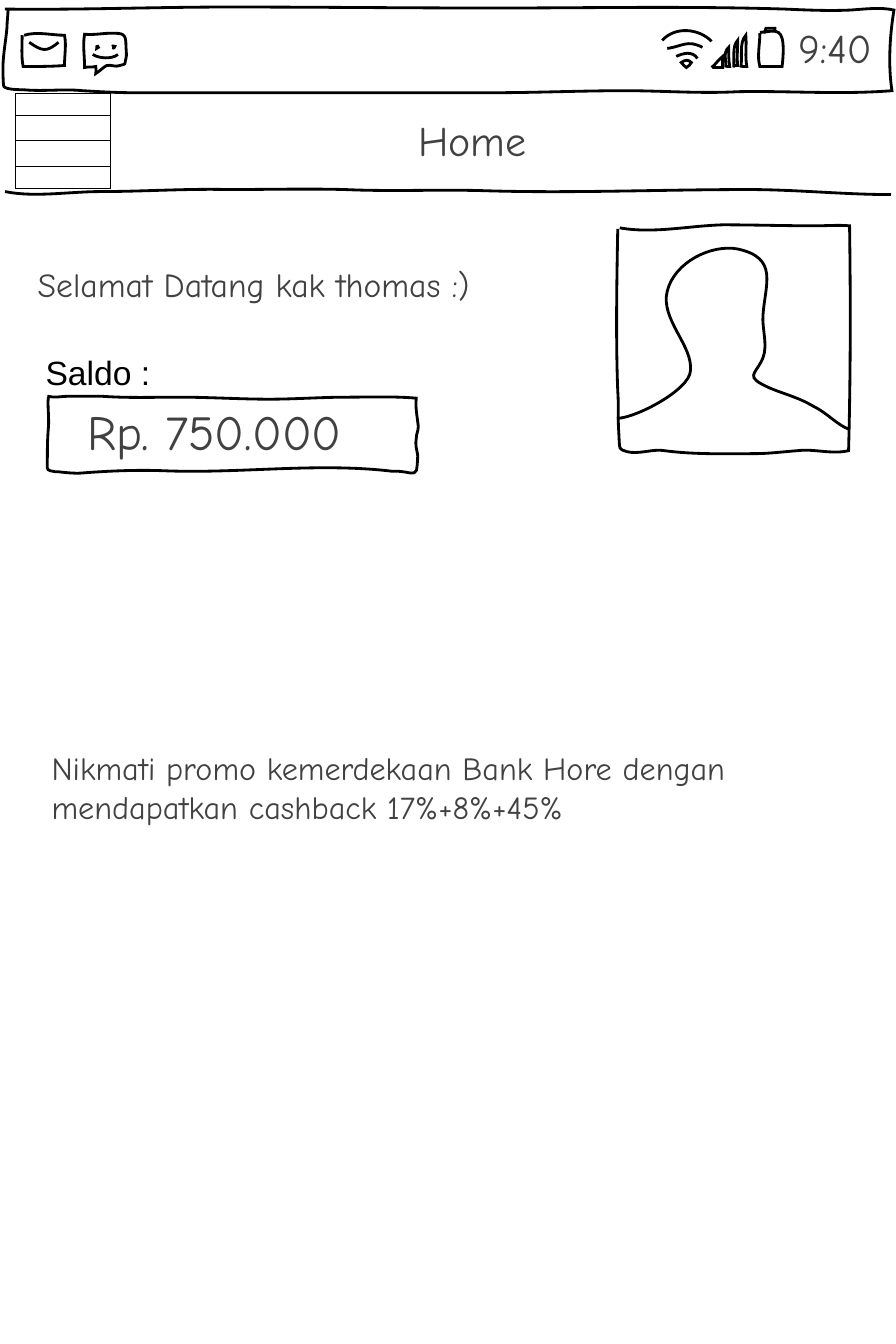
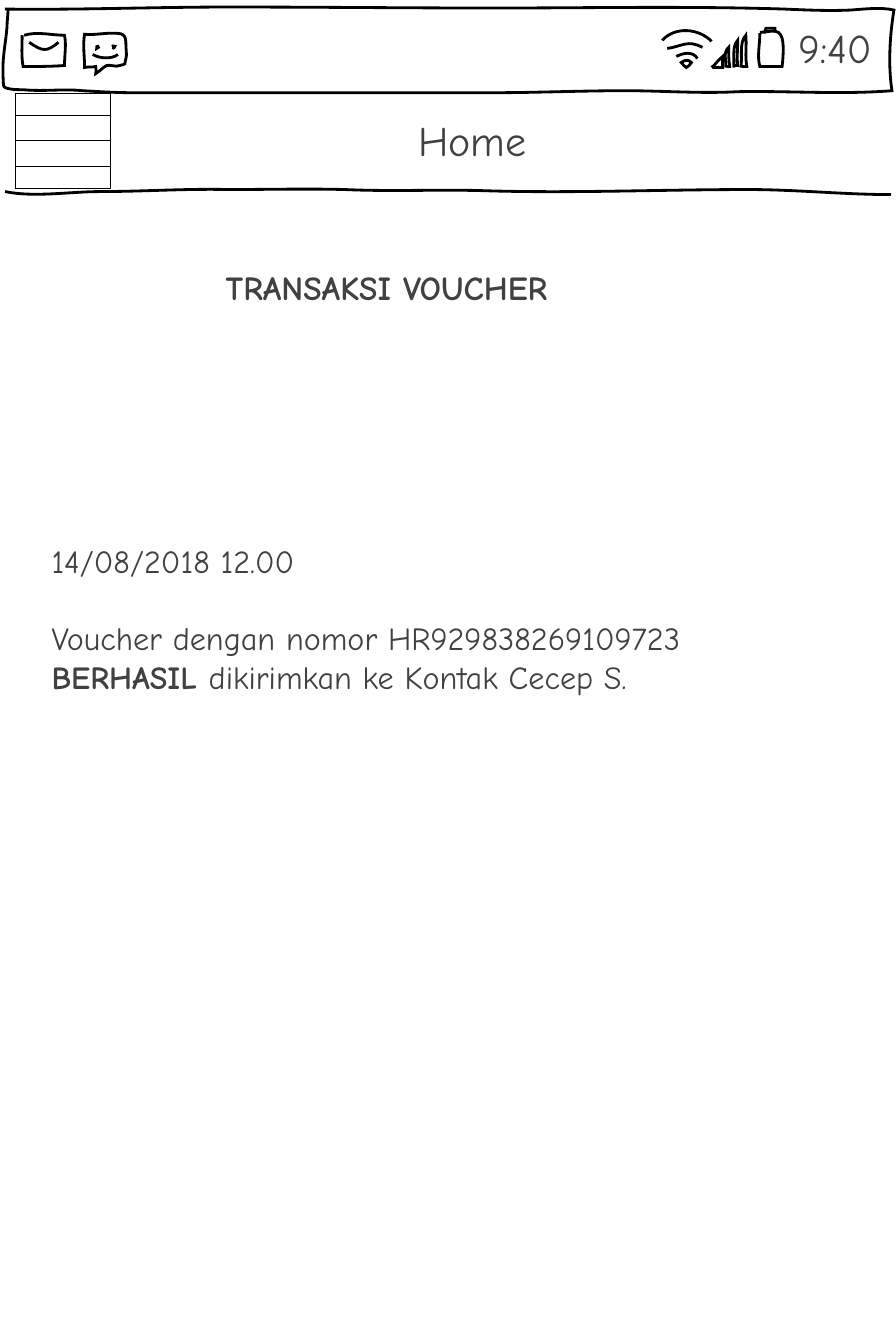
from lxml import etree
from pptx import Presentation
from pptx.dml.color import RGBColor
from pptx.enum.shapes import MSO_CONNECTOR as CONN, MSO_SHAPE as SHAPE
from pptx.enum.text import MSO_ANCHOR as ANCHOR, PP_ALIGN as ALIGN
from pptx.oxml.ns import qn
from pptx.util import Cm, Pt

COLORS = {"ink": "000000", "paper": "FFFFFF", "text": "414141"}
FONT = "Comic Neue"
GRID = Cm(2.54) / 100  # size of one sketch unit

# Hand-drawn strokes in sketch units: a start point, then three points per cubic curve.
STATUS_FRAME = """5 9 79 10 153 7 227 7 315 7 403 8 490 8 586 8 682 6 778 9
    801 10 822 11 844 10 858 9 874 7 887 10 883 34 881 64 885 90
    834 94 783 90 732 91 695 93 657 90 620 90 576 90 532 92 488 92
    370 92 252 92 133 92 116 92 99 91 82 90 63 88 43 91 23 89
    19 89 7 89 4 86 3 85 3 69 3 67 3 54 6 40 7 27 7 21 8 15 8 10"""
MAIL = [
    "24 35 37 31 51 35 64 35 66 44 64 55 64 65 51 66 36 66 23 66 21 56 22 45 22 35",
    "29 42 42 51 46 52 58 42",
]
CHAT = [
    """84 34 93 35 102 33 110 33 122 33 125 33 125 45 125 49 126 55 125 58
    123 65 126 63 119 65 115 67 110 64 106 65 102 67 100 70 95 73
    96 71 95 69 95 66 91 67 88 66 84 67 84 56 82 44 84 34""",
    "97 46 97 46 95 46 96 48 99 48 97 46 97 46",
    "112 47 112 47 113 49 114 46 112 45 112 46 111 46",
    "92 54 98 58 111 59 117 54",
]
WIFI = [
    "676 62 677 64 680 66 681 67 683 66 685 64 686 62 683 59 680 59 676 62",
    "671 56 677 53 687 50 692 58",
    "662 48 677 46 682 39 697 47",
    "657 40 670 26 693 28 706 41",
]
SIGNAL = [
    "720 67 721 61 717 52 723 47 723 53 723 60 724 66 722 66 722 66 721 66",
    "728 67 729 59 726 46 732 40 732 49 731 57 732 65 731 65 730 65 728 65",
    "735 67 737 58 733 42 740 35 741 45 739 56 741 66 739 66 737 66 736 66",
    "706 67 710 64 712 60 717 56 717 59 717 63 717 67 714 67 710 67 707 67",
]
BATTERY = [
    "754 32 764 32 773 27 776 38 778 45 777 58 776 66 768 66 760 66 754 66 751 56 754 44 754 33",
    "758 33 758 32 760 30 760 28 762 28 767 28 769 28 769 30 769 31 769 32",
]
HEADER_RULE = """5 190 34 196 69 190 100 190 142 190 184 187 226 188
    265 188 304 187 342 188 386 190 430 188 475 189
    564 192 654 188 742 188 790 188 837 193 884 193"""
PORTRAIT = [
    """615 226 648 232 683 224 717 223 748 223 778 224 809 224 820 224 832 223 843 224
    844 298 844 371 842 447 826 451 808 445 792 447 778 448 763 450 749 450
    719 450 689 451 659 447 648 445 634 451 622 448 614 445 615 448 614 429
    613 417 614 400 613 388 611 337 612 278 613 227""",
    """612 415 630 415 684 387 685 368 688 343 655 317 662 289 669 260 706 242 732 247
    773 256 759 282 757 313 756 326 762 342 757 355 750 372 737 373 764 385
    778 391 792 394 807 403 820 409 831 422 843 426""",
]
BALANCE_FRAME = """47 393 54 395 62 393 69 393 80 393 90 393 100 393
    126 395 152 394 178 394 208 394 238 396 267 396 293 396 319 394 344 394
    367 394 390 393 413 395 412 405 414 413 415 423 415 428 413 430 413 435
    412 441 413 444 414 449 415 453 414 457 414 461 413 467 414 467 411 469
    407 470 403 468 400 468 395 467 389 468 385 467 311 459 237 470 163 467
    137 466 111 467 84 469 76 470 67 469 58 468 56 468 53 468 50 467
    46 466 47 464 47 458 47 447 47 437 48 425 49 415 47 403 48 394"""


def rgb(name):
    return RGBColor.from_string(COLORS[name])


def set_all(obj, values):
    for name, value in values.items():
        setattr(obj, name, value)


def set_line(s, width):
    s.line.color.rgb = rgb("ink")
    s.line.width = Pt(width)
    etree.SubElement(s.element.spPr.find(qn("a:ln")), qn("a:miter"), lim="800000")


def style_shape(s, width, filled=True):
    s.shadow.inherit = False
    if filled:
        s.fill.solid()
        s.fill.fore_color.rgb = rgb("paper")
    else:
        s.fill.background()
    set_line(s, width)


def bend_lines(s):
    """Join every three line segments of a freeform into one cubic curve."""
    outline = s.element.spPr.find(f".//{qn('a:path')}")
    lines = outline.findall(qn("a:lnTo"))
    for i in range(0, len(lines), 3):
        curve = etree.SubElement(outline, qn("a:cubicBezTo"))
        for line in lines[i:i + 3]:
            curve.append(line[0])
            outline.remove(line)


def add_sketch(slide, strokes, filled=True):
    for stroke in strokes:
        nums = [int(n) for n in stroke.split()]
        start, *rest = zip(nums[::2], nums[1::2])
        builder = slide.shapes.build_freeform(*start, scale=GRID)
        builder.add_line_segments(rest, close=False)
        s = builder.convert_to_shape()
        bend_lines(s)
        style_shape(s, 2, filled)


def add_text(slide, box, paragraphs, size, align=ALIGN.LEFT, font=FONT,
             color="text", anchor=ANCHOR.MIDDLE, inset=0.1):
    """Each paragraph is (space before in points, [(text, bold), ...])."""
    tf = slide.shapes.add_textbox(*map(Cm, box)).text_frame
    margins = {f"margin_{side}": Cm(inset) for side in ("left", "right", "top", "bottom")}
    set_all(tf, {"word_wrap": True, "vertical_anchor": anchor, **margins})
    for i, (space, runs) in enumerate(paragraphs):
        p = tf.add_paragraph() if i else tf.paragraphs[0]
        set_all(p, {"alignment": align, "space_before": Pt(space)})
        for text, bold in runs:
            r = p.add_run()
            r.text = text
            set_all(r.font, {"name": font, "size": Pt(size), "bold": bold})
            r.font.color.rgb = rgb(color)


def add_line_of_text(slide, box, text, size, bold=False, **options):
    add_text(slide, box, [(0, [(text, bold)])], size, **options)


def add_menu_button(slide):
    left, top, side = 0.38, 2.35, 2.41
    s = slide.shapes.add_shape(SHAPE.RECTANGLE, *map(Cm, (left, top, side, side)))
    style_shape(s, 0.75)
    for i in range(3):
        y = 2.91 + 0.64 * i
        rule = slide.shapes.add_connector(CONN.STRAIGHT, *map(Cm, (left, y, left + side, y)))
        set_line(rule, 0.75)
        etree.SubElement(rule.element.spPr, qn("a:effectLst"))


def add_screen(prs):
    """Add a slide with the status bar and header that every screen shares."""
    slide = prs.slides.add_slide(prs.slide_layouts[6])
    add_sketch(slide, [STATUS_FRAME, *MAIL, *CHAT, *WIFI, *SIGNAL])
    add_sketch(slide, BATTERY, filled=False)
    add_line_of_text(slide, (19.8, 0.33, 2.49, 1.7), "9:40", 29, align=ALIGN.CENTER)
    add_sketch(slide, [HEADER_RULE])
    add_line_of_text(slide, (9.2, 2.84, 4.17, 1.37), "Home", 30, align=ALIGN.RIGHT)
    add_menu_button(slide)
    return slide


def build_home(prs):
    slide = add_screen(prs)
    add_sketch(slide, PORTRAIT)
    add_line_of_text(slide, (0.85, 6.2, 12.57, 1.93), "Selamat Datang kak thomas :)", 24)
    add_line_of_text(slide, (1.2, 18.31, 19.43, 3.05),
                     "Nikmati promo kemerdekaan Bank Hore dengan "
                     "mendapatkan cashback 17%+8%+45%", 23)
    add_sketch(slide, [BALANCE_FRAME])
    add_line_of_text(slide, (2.1, 9.88, 8.31, 1.93), "Rp. 750.000", 35)
    add_line_of_text(slide, (0.9, 8.61, 5.05, 1.37), "Saldo :", 24, font="Arial",
                     color="ink", anchor=ANCHOR.TOP, inset=0.25)


def build_voucher(prs):
    slide = add_screen(prs)
    add_line_of_text(slide, (5.59, 6.27, 12.57, 1.93), "TRANSAKSI VOUCHER", 24, bold=True)
    add_text(slide, (1.2, 9.91, 20.35, 11.35), [
        (0, [("14/08/2018 12.00", False)]),
        (27.5, [("Voucher dengan nomor HR929838269109723", False)]),
        (0, [("BERHASIL ", True), ("dikirimkan ke Kontak Cecep S.", False)]),
    ], 23)


def main():
    prs = Presentation()
    set_all(prs, {"slide_width": Cm(22.58), "slide_height": Cm(33.86)})
    build_home(prs)
    build_voucher(prs)
    prs.save("out.pptx")


if __name__ == "__main__":
    main()
